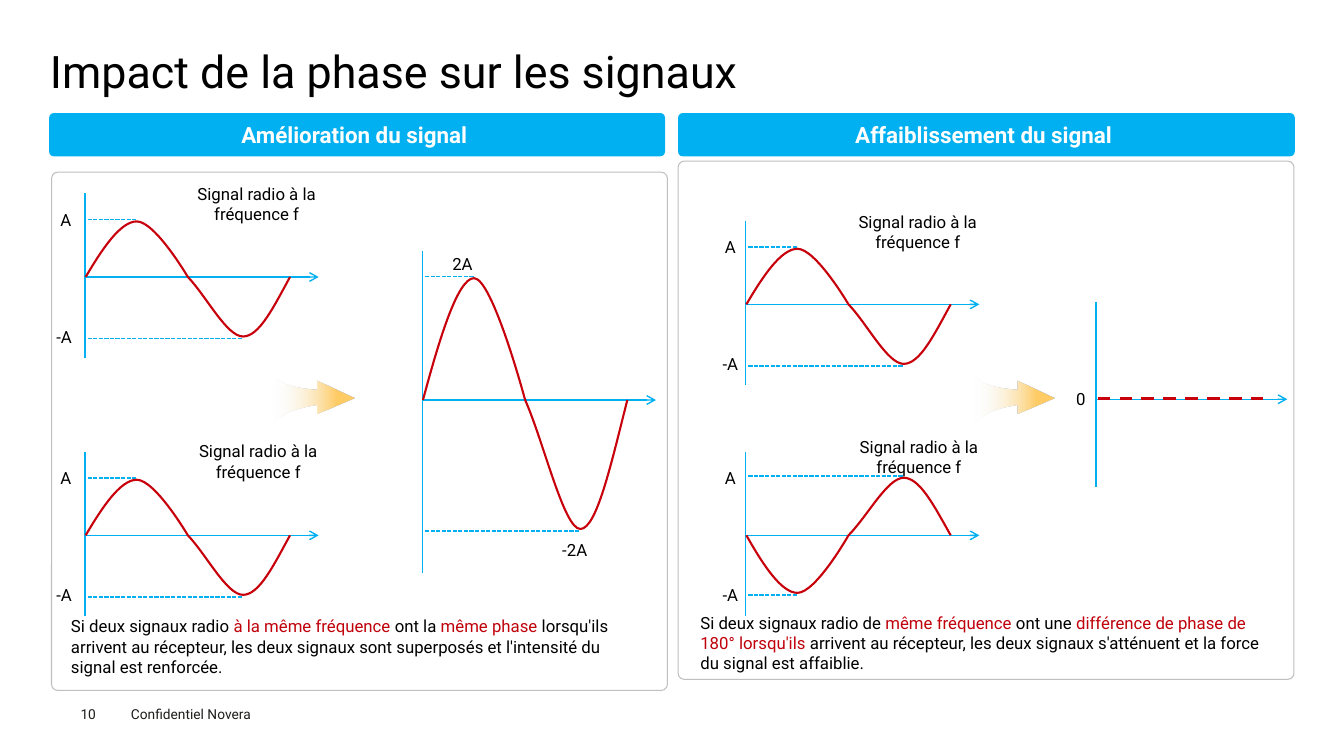
"""Build the slide on how phase affects two radio signals."""
import math
import lxml.etree
import pptx
import pptx.dml.color
import pptx.enum.dml
import pptx.enum.shapes
import pptx.enum.text
import pptx.oxml.ns
import pptx.util

Cm = pptx.util.Cm
Pt = pptx.util.Pt
RGB = pptx.dml.color.RGBColor
Dash = pptx.enum.dml.MSO_LINE
Align = pptx.enum.text.PP_ALIGN
Anchor = pptx.enum.text.MSO_ANCHOR
qn = pptx.oxml.ns.qn

BLACK = RGB(0x00, 0x00, 0x00)
WHITE = RGB(0xFF, 0xFF, 0xFF)
INK = RGB(0x1D, 0x1D, 0x1B)
BLUE = RGB(0x00, 0xB0, 0xF0)
RED = RGB(0xC7, 0x00, 0x0B)
MARK = RGB(0xC0, 0x00, 0x0B)
GREY = RGB(0xBF, 0xBF, 0xBF)
PALE = RGB(0xF7, 0xFA, 0xFD)
GOLD = RGB(0xFF, 0xCC, 0x66)

TITLE = "Impact de la phase sur les signaux"
FOOT = [("10", (2.03, 17.78, 1.4, 0.41), 0),
        ("Confidentiel Novera", (3.05, 17.65, 4.06, 0.69), None)]
HEADS = [("Amélioration du signal ", (1.24, 2.85, 15.52, 1.09)),
         ("Affaiblissement du signal ", (17.09, 2.85, 15.54, 1.09))]
PANELS = [(1.3, 4.34, 15.52, 13.06), (17.09, 4.06, 15.52, 13.06)]
NOTES = [
    ((1.54, 15.4, 14.53, 1.8),
     [("Si deux signaux radio ", BLACK), ("à la même fréquence ", MARK),
      ("ont la ", BLACK), ("même phase ", MARK),
      ("lorsqu'ils arrivent au récepteur, les deux signaux sont superposés "
       "et l'intensité du signal est renforcée.", BLACK)]),
    ((17.4, 15.31, 14.63, 1.8),
     [("Si deux signaux radio de ", BLACK), ("même fréquence ", MARK),
      ("ont une ", BLACK), ("différence de phase de 180° lorsqu'ils ", MARK),
      ("arrivent au récepteur, les deux signaux s'atténuent et la force "
       "du signal est affaiblie.", BLACK)]),
]

SMALL = (1.4, 1.5, 2.11, 2.03)
WAVES = [(2.16, 6.98, *SMALL), (2.16, 13.49, *SMALL), (18.81, 7.67, *SMALL),
         (18.81, 13.49, -1.45, -1.45, 2.11, 2.03),
         (10.66, 10.08, 3.07, 3.25, 3.76, 4.36)]
SPAN, PEAK, DIP, REACH, GAP = 5.15, 1.3, 3.95, 5.87, 0.05
ARCH = [[(0.08, 0.5), (0.17, 1), (0.25, 1)], [(0.34, 1), (0.5, 0), (0.5, 0)]]
BOWL = [[(0.59, 0.32), (0.69, 1), (0.77, 1)], [(0.85, 1), (0.92, 0.5), (1, 0)]]

CAPTION = "Signal radio à la fréquence f"
CAPS = [(4.35, 4.5), (4.39, 10.99), (21.01, 5.2), (21.04, 10.87)]
LABELS = [("A", 1.27, 5.16, 1.19, Align.LEFT), ("-A", 1.17, 8.1, 1.19, Align.LEFT),
          ("A", 1.27, 11.66, 1.19, Align.LEFT), ("-A", 1.17, 14.6, 1.19, Align.LEFT),
          ("A", 17.81, 5.84, 1.19, Align.CENTER), ("-A", 17.81, 8.79, 1.19, Align.CENTER),
          ("A", 17.81, 11.66, 1.19, Align.CENTER), ("-A", 17.81, 14.6, 1.19, Align.CENTER),
          ("2A", 11.15, 6.27, 1.19, Align.LEFT), ("-2A", 13.92, 13.47, 1.42, Align.LEFT),
          ("0", 26.19, 9.66, 1.42, Align.RIGHT)]

ARROWS = [(6.51, 8.74), (24.17, 8.74)]
ARROW = [[(0.28, 0.76), (0.46, 1.02), (1.47, 1.09)],
         [(1.47, 0.86)], [(2.41, 1.3)], [(1.47, 1.7)], [(1.47, 1.47)],
         [(0.43, 1.63), (0.43, 1.93), (0.03, 2.57)]]


def write(shape, text, size=12, color=BLACK, bold=False, align=Align.LEFT,
          anchor=Anchor.TOP, inset=None, space=None):
    frame = shape.text_frame
    frame.word_wrap = True
    frame.auto_size = pptx.enum.text.MSO_AUTO_SIZE.NONE
    frame.vertical_anchor = anchor
    if inset is not None:
        frame.margin_left = frame.margin_right = Cm(inset)
        frame.margin_top = frame.margin_bottom = Cm(inset)
    para = frame.paragraphs[0]
    para.alignment = align
    if space:
        para.line_spacing = space
    for words, tint in [(text, color)] if isinstance(text, str) else text:
        run = para.add_run()
        run.text = words
        run.font.name = "Roboto"
        run.font.size = Pt(size)
        run.font.bold = bold
        run.font.color.rgb = tint


def label(slide, text, box, **form):
    write(slide.shapes.add_textbox(*map(Cm, box)), text, **form)


def panel(slide, box, curve, fill=None, edge=None):
    kind = pptx.enum.shapes.MSO_SHAPE.ROUNDED_RECTANGLE
    shape = slide.shapes.add_shape(kind, *map(Cm, box))
    shape.adjustments[0] = curve
    shape.shadow.inherit = False
    for part, color in ((shape.fill, fill), (shape.line.fill, edge)):
        if color is None:
            part.background()
        else:
            part.solid()
            part.fore_color.rgb = color
    if edge is not None:
        shape.line.width = Pt(0.75)
    return shape


def rule(slide, ends, color=BLUE, width=1, dash=None, head=False):
    kind = pptx.enum.shapes.MSO_CONNECTOR.STRAIGHT
    line = slide.shapes.add_connector(kind, *map(Cm, ends))
    line.line.color.rgb = color
    line.line.width = Pt(width)
    if dash:
        line.line.dash_style = dash
    props = line._element.spPr
    if head:
        lxml.etree.SubElement(props.find(qn("a:ln")), qn("a:tailEnd"), type="arrow")
    lxml.etree.SubElement(props, qn("a:effectLst"))


def outline(slide, parts, x, y, close=False):
    spots = [(Cm(x + a), Cm(y + b)) for part in parts for a, b in part]
    form = slide.shapes.build_freeform(Cm(x), Cm(y))
    form.add_line_segments(spots, close=close)
    shape = form.convert_to_shape()
    shape.shadow.inherit = False
    steps = iter(list(shape._element.iter(qn("a:lnTo"))))
    for part in parts:
        first, *rest = [next(steps) for spot in part]
        if rest:
            cubic = lxml.etree.Element(qn("a:cubicBezTo"))
            first.addprevious(cubic)
            for step in (first, *rest):
                cubic.append(step[0])
                step.getparent().remove(step)
    return shape


def graph(slide, x, y, up, down, rise, drop):
    rule(slide, (x - 0.02, y - rise, x - 0.02, y + drop))
    rule(slide, (x, y, x + REACH, y), head=True)
    for level, end in ((-up, PEAK), (down, DIP)):
        high = y + level + math.copysign(GAP, level)
        rule(slide, (x + GAP, high, x + end, high), dash=Dash.SQUARE_DOT)
    parts = [[(a * SPAN, b * tall) for a, b in part]
             for half, tall in ((ARCH, -up), (BOWL, down)) for part in half]
    wave = outline(slide, parts, x, y)
    wave.fill.background()
    wave.line.color.rgb = RED
    wave.line.width = Pt(1.5)


def arrow(slide, x, y):
    shape = outline(slide, ARROW, x, y, close=True)
    shape.line.fill.background()
    shape.fill.gradient()
    shape.fill.gradient_angle = 0
    for stop, place, color in zip(shape.fill.gradient_stops, (0.15, 0.81), (PALE, GOLD)):
        stop.position = place
        stop.color.rgb = color
    tint = next(shape._element.spPr.iter(qn("a:srgbClr")))
    lxml.etree.SubElement(tint, qn("a:alpha"), val="0")


def main():
    deck = pptx.Presentation()
    deck.slide_width, deck.slide_height = Cm(33.87), Cm(19.05)
    slide = deck.slides.add_slide(deck.slide_layouts[5])
    title = slide.shapes.title
    title.left, title.top, title.width, title.height = map(Cm, (1.26, 1.18, 31.37, 1.37))
    write(title, TITLE, size=32, anchor=Anchor.MIDDLE, inset=0, space=0.9)
    for text, box, inset in FOOT:
        label(slide, text, box, size=9.8, color=INK, inset=inset)
    for box in PANELS:
        panel(slide, box, 0.012, edge=GREY)
    for text, box in HEADS:
        write(panel(slide, box, 0.106, fill=BLUE), text, size=16, color=WHITE,
              bold=True, align=Align.CENTER, anchor=Anchor.MIDDLE)
    for wave in WAVES:
        graph(slide, *wave)
    rule(slide, (27.62, 7.6, 27.62, 12.27))
    rule(slide, (27.64, 10.06, 32.44, 10.06), head=True)
    rule(slide, (27.66, 10.04, 31.83, 10.04), color=RED, width=2.25, dash=Dash.DASH)
    for spot in ARROWS:
        arrow(slide, *spot)
    for text, x, y, wide, align in LABELS:
        label(slide, text, (x, y, wide, 0.76), align=align)
    for x, y in CAPS:
        label(slide, CAPTION, (x, y, 4.24, 1.27), align=Align.CENTER)
    for box, runs in NOTES:
        label(slide, runs, box)
    deck.save("out.pptx")


if __name__ == "__main__":
    main()
